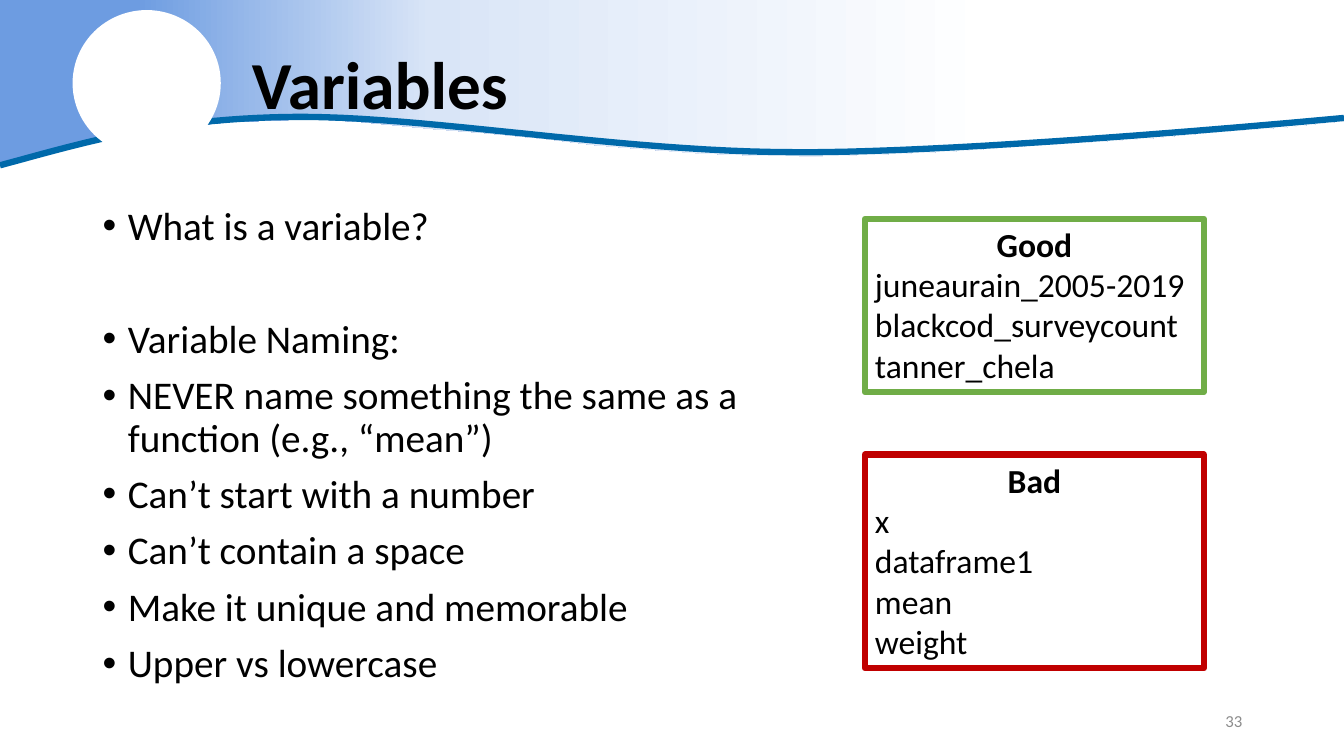
from lxml.etree import SubElement
from pptx import Presentation
from pptx.dml.color import RGBColor
from pptx.enum.shapes import MSO_SHAPE
from pptx.enum.text import MSO_ANCHOR, PP_ALIGN
from pptx.oxml.ns import qn
from pptx.util import Inches, Pt

BLACK = RGBColor(0x00, 0x00, 0x00)
WHITE = RGBColor(0xFF, 0xFF, 0xFF)
GRAY = RGBColor(0x8C, 0x8C, 0x8C)
BLUE = RGBColor(0x00, 0x69, 0xAA)
SKY = RGBColor(0x6D, 0x9C, 0xE1)
PALE = RGBColor(0xD9, 0xE5, 0xF7)
GREEN = RGBColor(0x70, 0xAD, 0x47)
RED = RGBColor(0xC0, 0x00, 0x00)
FONT = "Calibri"

EDGE = [
    (13.33, 1.2), (12.77, 1.26), (12.06, 1.31), (11.43, 1.37),
    (10.81, 1.41), (10.13, 1.45), (9.46, 1.5), (8.76, 1.53),
    (8.08, 1.55), (7.42, 1.54), (6.92, 1.52), (6.4, 1.48),
    (5.91, 1.44), (5.43, 1.38), (4.81, 1.32), (4.3, 1.28),
    (3.58, 1.21), (3.26, 1.19), (2.88, 1.19), (2.28, 1.21),
    (1.9, 1.25), (1.36, 1.32), (0.86, 1.42), (0.44, 1.51), (0, 1.65),
]
WAVE = [
    [(0, 1.64), (0.75, 1.44), (1.55, 1.18), (2.87, 1.16)],
    [(2.87, 1.16), (4.19, 1.14), (6.15, 1.51), (7.9, 1.51)],
    [(7.9, 1.51), (9.64, 1.52), (13.33, 1.17), (13.33, 1.17)],
]
POINTS = [
    ("What is a variable?", 10),
    ("Variable Naming:", 50.5),
    ("NEVER name something the same as a function (e.g., “mean”)", 10),
    ("Can’t start with a number", 10),
    ("Can’t contain a space", 10),
    ("Make it unique and memorable", 10),
    ("Upper vs lowercase", 10),
]
GOOD = ["juneaurain_2005-2019", "blackcod_surveycount", "tanner_chela"]
BAD = ["x", "dataframe1", "mean", "weight"]


def curve(ends, steps=24):
    spots = []
    for i in range(steps + 1):
        t = i / steps
        mix = ((1 - t) ** 3, 3 * t * (1 - t) ** 2, 3 * t * t * (1 - t), t ** 3)
        spots.append(tuple(sum(m * p[axis] for m, p in zip(mix, ends))
                           for axis in (0, 1)))
    return spots


def outline(slide, left, top, spots, close):
    spots = [(Inches(left + x), Inches(top + y)) for x, y in spots]
    pen = slide.shapes.build_freeform(*spots[0])
    pen.add_line_segments(spots[1:], close=close)
    shape = pen.convert_to_shape()
    shape.shadow.inherit = False
    return shape


def shade(shape, stops):
    shape.fill.gradient()
    shape.fill.gradient_angle = 0
    group = shape.fill._fill._gradFill.find(qn("a:gsLst"))
    for stop in list(group):
        group.remove(stop)
    for place, color in stops:
        stop = SubElement(group, qn("a:gs"), pos=str(place * 1000))
        SubElement(stop, qn("a:srgbClr"), val=str(color))


def write(para, text, size, color=BLACK, bold=False):
    run = para.add_run()
    run.text = text
    font = run.font
    font.name, font.size, font.bold = FONT, Pt(size), bold
    font.color.rgb = color


def frame(slide, left, top, width, height, anchor=MSO_ANCHOR.TOP):
    box = slide.shapes.add_textbox(
        Inches(left), Inches(top), Inches(width), Inches(height))
    text = box.text_frame
    text.word_wrap = True
    text.vertical_anchor = anchor
    return text


def header(slide, left, top, width):
    band = outline(slide, left, top, [(0, 0), (width, 0)] + EDGE, True)
    shade(band, [(10, SKY), (32, PALE), (74, WHITE)])
    band.line.fill.background()
    spots = [spot for ends in WAVE for spot in curve(ends)]
    wave = outline(slide, left, top, spots, False)
    wave.fill.background()
    wave.line.color.rgb = BLUE
    wave.line.width = Pt(4.5)
    disc = slide.shapes.add_shape(
        MSO_SHAPE.OVAL, Inches(left + 0.72), Inches(top + 0.1),
        Inches(1.47), Inches(1.45))
    disc.shadow.inherit = False
    disc.fill.solid()
    disc.fill.fore_color.rgb = WHITE
    disc.line.fill.background()
    text = frame(slide, left + 2.4, top + 0.2, 10.02, 1.34, MSO_ANCHOR.MIDDLE)
    para = text.paragraphs[0]
    para.line_spacing = 0.9
    write(para, "Variables", 48, bold=True)


def bullets(slide, left, top, width, height):
    text = frame(slide, left, top, width, height)
    for i, (point, gap) in enumerate(POINTS):
        para = text.add_paragraph() if i else text.paragraphs[0]
        para.line_spacing = 0.9
        para.space_before = Pt(gap)
        props = para._p.get_or_add_pPr()
        props.set("marL", str(Inches(0.25)))
        props.set("indent", str(-Inches(0.25)))
        SubElement(props, qn("a:buFont"), typeface="Arial")
        SubElement(props, qn("a:buChar"), char="•")
        write(para, point, 28)


def card(slide, left, top, width, height, color, title, names):
    box = slide.shapes.add_shape(
        MSO_SHAPE.RECTANGLE, Inches(left), Inches(top),
        Inches(width), Inches(height))
    box.shadow.inherit = False
    box.fill.background()
    box.line.color.rgb = color
    box.line.width = Pt(4.5)
    text = box.text_frame
    text.word_wrap = True
    text.vertical_anchor = MSO_ANCHOR.TOP
    head = text.paragraphs[0]
    head.alignment = PP_ALIGN.CENTER
    write(head, title, 24, bold=True)
    for name in names:
        para = text.add_paragraph()
        para.alignment = PP_ALIGN.LEFT
        write(para, name, 24)


def footer(slide, left, top, width, height):
    text = frame(slide, left, top, width, height, MSO_ANCHOR.MIDDLE)
    para = text.paragraphs[0]
    para.alignment = PP_ALIGN.RIGHT
    write(para, "33", 12, GRAY)


def main():
    deck = Presentation()
    deck.slide_width, deck.slide_height = Inches(13.33), Inches(7.5)
    slide = deck.slides.add_slide(deck.slide_layouts[6])
    header(slide, 0, 0, 13.33)
    bullets(slide, 0.92, 2, 6.76, 5.04)
    footer(slide, 9.42, 6.95, 3, 0.4)
    card(slide, 8.58, 2.17, 3.36, 1.72, GREEN, "Good", GOOD)
    card(slide, 8.58, 4.51, 3.36, 2.12, RED, "Bad", BAD)
    deck.save("out.pptx")


if __name__ == "__main__":
    main()
